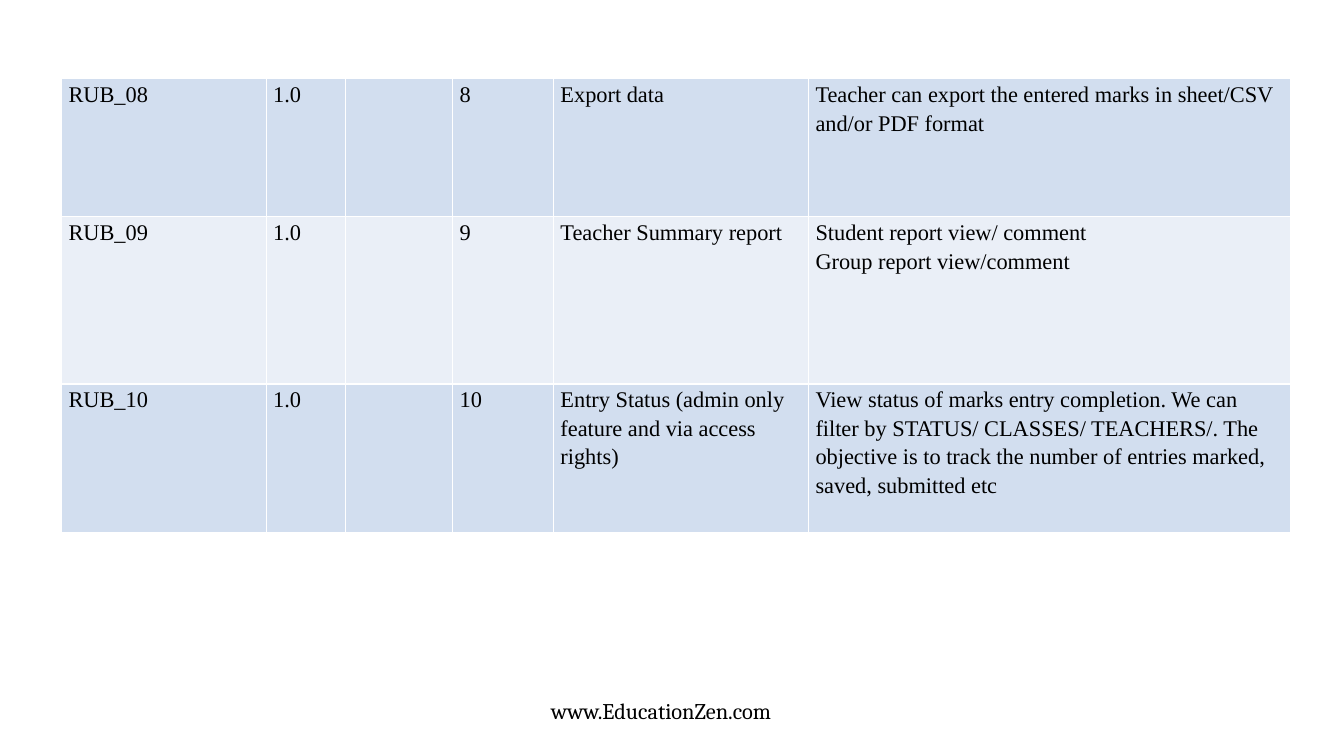
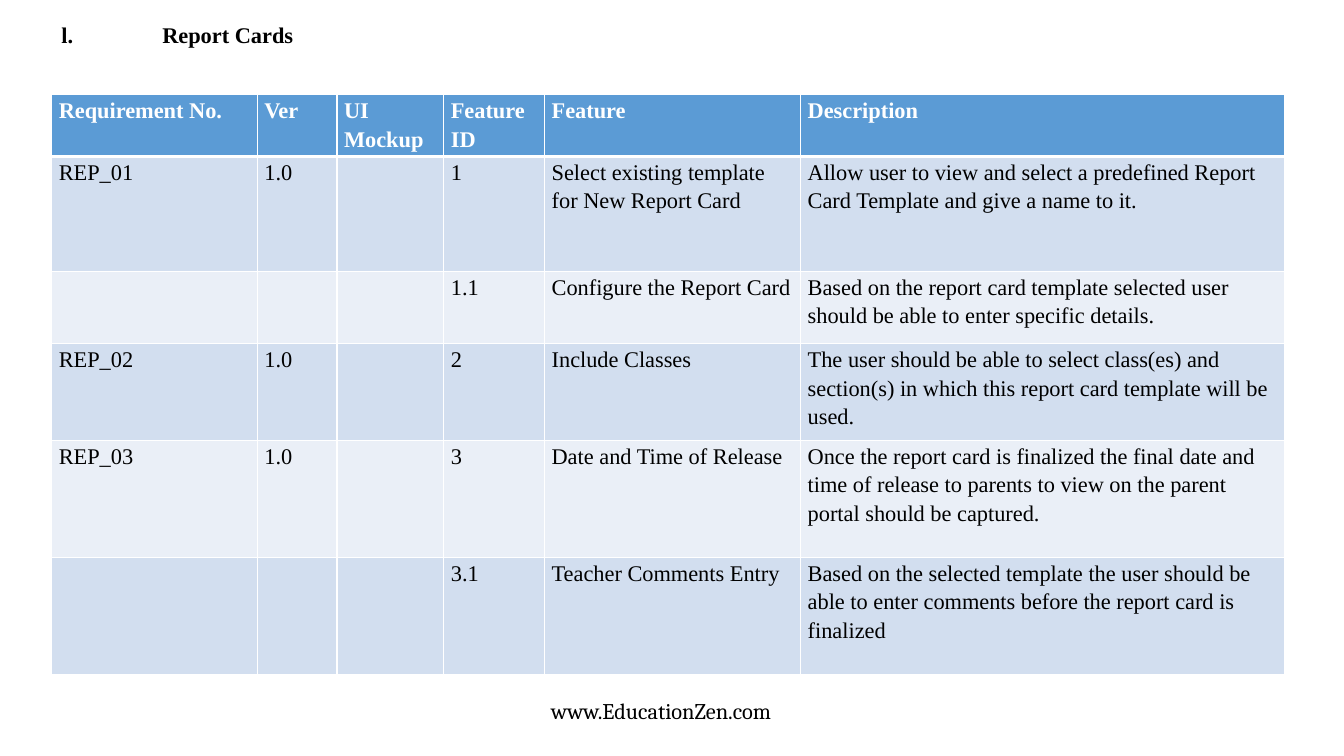
from lxml.etree import SubElement
from pptx import Presentation
from pptx.dml.color import RGBColor
from pptx.enum.text import MSO_ANCHOR as ANCHOR, MSO_AUTO_SIZE as AUTO, PP_ALIGN as ALIGN
from pptx.oxml.ns import qn
from pptx.util import Pt

TITLE_ONLY, BLANK = 5, 6
SERIF, FOOTER_FONT = "Times New Roman", "Cambria"
BLACK, WHITE, HEADER = "000000", "FFFFFF", "5B9BD5"
BANDS = ("D2DEEF", "EAEFF7")
BORDER, HEADER_RULE = 1, 3

HEADINGS = ("Requirement No.", "Ver", "UI Mockup", "Feature ID", "Feature", "Description")
RUBRIC_ROWS = [
    ("RUB_08", "1.0", "", "8", "Export data",
     "Teacher can export the entered marks in sheet/CSV and/or PDF format"),
    ("RUB_09", "1.0", "", "9", "Teacher Summary report",
     "Student report view/ comment\nGroup report view/comment"),
    ("RUB_10", "1.0", "", "10", "Entry Status (admin only feature and via access rights)",
     "View status of marks entry completion. We can filter by STATUS/ CLASSES/ TEACHERS/. "
     "The objective is to track the number of entries marked, saved, submitted etc"),
]
REPORT_ROWS = [
    ("REP_01", "1.0", "", "1", "Select existing template for New Report Card",
     "Allow user to view and select a predefined Report Card Template and give a name to it."),
    ("", "", "", "1.1", "Configure the Report Card",
     "Based on the report card template selected user should be able to enter specific details."),
    ("REP_02", "1.0", "", "2", "Include Classes",
     "The user should be able to select class(es) and section(s) in which this report card "
     "template will be used."),
    ("REP_03", "1.0", "", "3", "Date and Time of Release",
     "Once the report card is finalized the final date and time of release to parents to view "
     "on the parent portal should be captured."),
    ("", "", "", "3.1", "Teacher Comments Entry",
     "Based on the selected template the user should be able to enter comments before the "
     "report card is finalized"),
]


def rgb(value):
    """Turn a hex string into a colour."""
    return RGBColor.from_string(value)


def write(tf, text, font=SERIF, size=16, color=BLACK, bold=False,
          align=ALIGN.LEFT, spacing=1.0, tab=None):
    """Fill a text frame, one paragraph per line, in one format."""
    tf.text = text
    tf.word_wrap = True
    for p in tf.paragraphs:
        if tab:
            tabs = SubElement(p._p.get_or_add_pPr(), qn("a:tabLst"))
            SubElement(tabs, qn("a:tab"), pos=str(Pt(tab)), algn="l")
        p.alignment = align
        p.line_spacing = spacing
        for r in p.runs:
            r.font.name, r.font.size, r.font.bold = font, Pt(size), bold
            r.font.color.rgb = rgb(color)


def add_footer(slide):
    """Add the web address at the foot of a slide."""
    sp = slide.shapes.add_textbox(Pt(342), Pt(494.6), Pt(216), Pt(26.6))
    write(sp.text_frame, "www.EducationZen.com", font=FOOTER_FONT, align=ALIGN.RIGHT)


def set_title(slide, text):
    """Place and format the title placeholder."""
    sp = slide.shapes.title
    sp.left, sp.top, sp.width, sp.height = Pt(36.7), Pt(11.5), Pt(182), Pt(26.6)
    tf = sp.text_frame
    write(tf, text, bold=True, tab=72)
    tf.auto_size, tf.vertical_anchor = AUTO.NONE, ANCHOR.TOP


def set_borders(cell, bottom):
    """Draw white borders around a cell."""
    tcPr = cell._tc.get_or_add_tcPr()
    for side, width in (("L", BORDER), ("R", BORDER), ("T", BORDER), ("B", bottom)):
        ln = SubElement(tcPr, qn(f"a:ln{side}"), w=str(Pt(width)))
        SubElement(SubElement(ln, qn("a:solidFill")), qn("a:srgbClr"), val=WHITE)


def format_cell(cell, text, fill, bottom=BORDER, **style):
    """Write one cell with its insets, borders and fill."""
    cell.margin_left = cell.margin_right = Pt(5)
    cell.margin_top = cell.margin_bottom = 0
    set_borders(cell, bottom)
    cell.fill.solid()
    cell.fill.fore_color.rgb = rgb(fill)
    write(cell.text_frame, text, spacing=1.15, **style)


def add_requirements(slide, left, top, widths, heights, rows, headings=None):
    """Add a banded requirements table, with a header row if headings are given."""
    lines = [headings, *rows] if headings else rows
    tbl = slide.shapes.add_table(len(lines), len(widths), Pt(left), Pt(top),
                                 Pt(sum(widths)), Pt(sum(heights))).table
    tbl.first_row, tbl.horz_banding = bool(headings), False
    for column, width in zip(tbl.columns, widths):
        column.width = Pt(width)
    for row, height in zip(tbl.rows, heights):
        row.height = Pt(height)
    for i, line in enumerate(lines):
        for cell, text in zip(tbl.rows[i].cells, line):
            if headings and i == 0:
                format_cell(cell, text, HEADER, bottom=HEADER_RULE, color=WHITE, bold=True)
            else:
                format_cell(cell, text, BANDS[(i - bool(headings)) % 2])


def main():
    """Build and save the two slides."""
    prs = Presentation()
    prs.slide_width, prs.slide_height = Pt(960), Pt(540)

    rubrics = prs.slides.add_slide(prs.slide_layouts[BLANK])
    add_footer(rubrics)
    add_requirements(rubrics, 44, 56.2, (146.2, 56.9, 76.3, 72, 182.2, 344.2),
                     (98.6, 119.5, 105.8), RUBRIC_ROWS)

    reports = prs.slides.add_slide(prs.slide_layouts[TITLE_ONLY])
    add_footer(reports)
    set_title(reports, "l.\tReport Cards")
    add_requirements(reports, 37, 67.7, (146.9, 56.9, 76.3, 72, 182.9, 345.6),
                     (41.8, 82, 51.8, 69.1, 83.5, 83.5), REPORT_ROWS, HEADINGS)

    prs.save("out.pptx")


if __name__ == "__main__":
    main()
